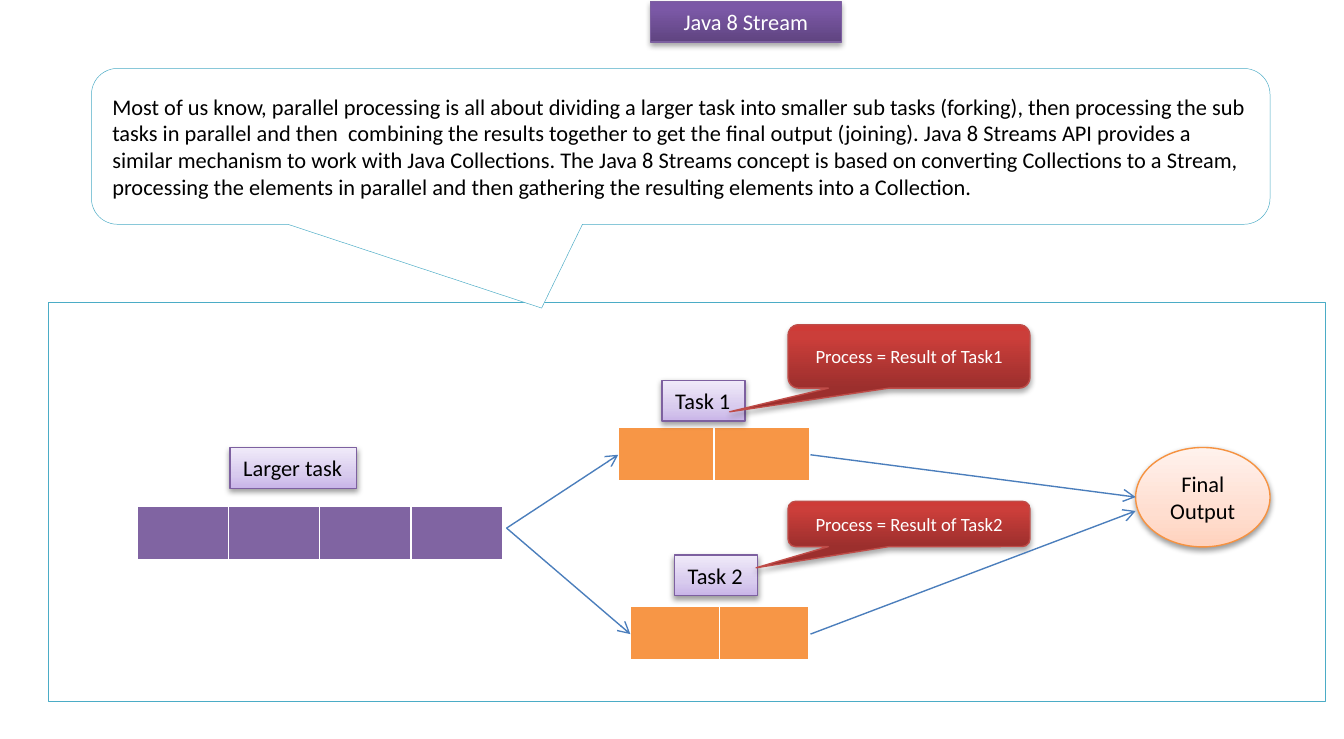
from pptx import Presentation
from pptx.dml.color import RGBColor
from pptx.enum.shapes import MSO_CONNECTOR, MSO_SHAPE
from pptx.enum.text import MSO_ANCHOR, MSO_AUTO_SIZE, PP_ALIGN
from pptx.oxml import parse_xml
from pptx.oxml.ns import nsdecls, qn
from pptx.util import Pt

RECT, ELLIPSE = MSO_SHAPE.RECTANGLE, MSO_SHAPE.OVAL
CALLOUT = MSO_SHAPE.ROUNDED_RECTANGULAR_CALLOUT
STRAIGHT = MSO_CONNECTOR.STRAIGHT
TOP, MIDDLE = MSO_ANCHOR.TOP, MSO_ANCHOR.MIDDLE
LEFT, CENTER = PP_ALIGN.LEFT, PP_ALIGN.CENTER
GROW, FIXED = MSO_AUTO_SIZE.SHAPE_TO_FIT_TEXT, MSO_AUTO_SIZE.NONE

COLORS = {
    "white": "FFFFFF", "black": "000000", "teal": "4BACC6", "arrow": "4B7EBC",
    "purple": "8064A2", "orange": "F79646",
    "purple_line": "7D60A0", "red_line": "BF4C48", "orange_line": "F69240",
}
# Gradient stops run from the bottom edge to the top edge
GRADIENTS = {
    "purple": [(0, "5F4480"), (80, "7B58A6"), (100, "7C57A8")],
    "lilac": [(0, "C9B5E8"), (35, "D8CBEE"), (100, "F0EAF9")],
    "red": [(0, "9C2F2D"), (80, "CB3E3A"), (100, "CE3B37")],
    "peach": [(0, "FFD2BD"), (35, "FFDED0"), (100, "FFF2ED")],
}
STRONG, SOFT = (35, 1.8), (38, 1.6)  # shadow opacity in percent, distance
BAR_HEIGHT = 29.5
INTRO = (
    "Most of us know, parallel processing is all about dividing a larger task "
    "into smaller sub tasks (forking), then processing the sub tasks in parallel "
    "and then  combining the results together to get the final output (joining). "
    "Java 8 Streams API provides a similar mechanism to work with Java "
    "Collections. The Java 8 Streams concept is based on converting Collections "
    "to a Stream, processing the elements in parallel and then gathering the "
    "resulting elements into a Collection."
)


def rgb(name):
    return RGBColor.from_string(COLORS[name])


def set_text(sp, text, size=12, color="black", align=CENTER, anchor=MIDDLE,
             wrap=True, fit=FIXED):
    tf = sp.text_frame
    tf.word_wrap, tf.auto_size, tf.vertical_anchor = wrap, fit, anchor
    p = tf.paragraphs[0]
    p.alignment = align
    r = p.add_run()
    r.text = text
    r.font.name, r.font.size = "Calibri", Pt(size)
    r.font.color.rgb = rgb(color)


def set_line(sp, color, width):
    sp.line.color.rgb = rgb(color)
    sp.line.width = Pt(width)


def style_gradient(sp, gradient, line, shadow):
    """Vertical gradient, thin outline and a shadow below."""
    sp.fill.gradient()
    sp.fill.gradient_angle = 90
    spPr = sp._element.spPr
    stops = spPr.find(qn("a:gradFill")).find(qn("a:gsLst"))
    for gs in list(stops):
        stops.remove(gs)
    for pos, color in GRADIENTS[gradient]:
        stops.append(parse_xml(
            f'<a:gs {nsdecls("a")} pos="{pos * 1000}"><a:srgbClr val="{color}"/></a:gs>'))
    set_line(sp, line, 0.75)
    sp.shadow.inherit = False
    alpha, dist = shadow
    spPr.find(qn("a:effectLst")).append(parse_xml(
        f'<a:outerShdw {nsdecls("a")} blurRad="{Pt(3.1)}" dist="{Pt(dist)}" '
        f'dir="5400000" rotWithShape="0"><a:srgbClr val="{COLORS["black"]}">'
        f'<a:alpha val="{alpha * 1000}"/></a:srgbClr></a:outerShdw>'))


def add_shape(s, kind, box, adjustments=()):
    sp = s.shapes.add_shape(kind, *map(Pt, box))
    for i, value in enumerate(adjustments):
        sp.adjustments[i] = value
    return sp


def add_panel(s, kind, box, adjustments=()):
    """White shape with a hairline teal outline."""
    sp = add_shape(s, kind, box, adjustments)
    sp.fill.solid()
    sp.fill.fore_color.rgb = rgb("white")
    set_line(sp, "teal", 0.25)
    sp.shadow.inherit = False
    return sp


def add_label(s, text, x, y, width):
    sp = add_shape(s, RECT, (x, y, width, 21.8))
    style_gradient(sp, "lilac", "purple_line", SOFT)
    set_text(sp, text, align=LEFT, anchor=TOP, wrap=False, fit=GROW)


def add_process_callout(s, text, y, height, tip):
    sp = add_shape(s, CALLOUT, (422.2, y, 129.6, height), tip)
    style_gradient(sp, "red", "red_line", STRONG)
    set_text(sp, text, size=10, color="white")


def add_bar(s, x, y, width, count, color):
    """One-row table whose cells are the pieces of a task."""
    frame = s.shapes.add_table(1, count, Pt(x), Pt(y), Pt(width), Pt(BAR_HEIGHT))
    for cell in frame.table.iter_cells():
        tcPr = cell._tc.get_or_add_tcPr()
        for side, weight in (("L", 1), ("R", 1), ("T", 1), ("B", 3)):
            tcPr.append(parse_xml(
                f'<a:ln{side} {nsdecls("a")} w="{Pt(weight)}"><a:solidFill>'
                f'<a:srgbClr val="{COLORS["white"]}"/></a:solidFill></a:ln{side}>'))
        cell.fill.solid()
        cell.fill.fore_color.rgb = rgb(color)


def add_arrow(s, start, end):
    cn = s.shapes.add_connector(STRAIGHT, *map(Pt, start + end))
    set_line(cn, "arrow", 0.75)
    spPr = cn._element.spPr
    spPr.find(qn("a:ln")).append(
        parse_xml(f'<a:tailEnd {nsdecls("a")} type="arrow"/>'))
    spPr.append(parse_xml(f'<a:effectLst {nsdecls("a")}/>'))


def main():
    prs = Presentation()
    prs.slide_width, prs.slide_height = Pt(720), Pt(396)
    s = prs.slides.add_slide(prs.slide_layouts[5])

    # Title
    title = s.shapes.title
    title.left, title.top, title.width, title.height = map(Pt, (348.5, 0.7, 102.2, 21.8))
    style_gradient(title, "purple", "purple_line", STRONG)
    set_text(title, "Java 8 Stream", color="white", anchor=TOP)

    # Diagram frame
    add_panel(s, RECT, (25.9, 162, 684, 213.8))

    # Task bars and their labels
    add_bar(s, 73.4, 271.4, 195.8, 4, "purple")
    add_bar(s, 331.4, 229, 102.2, 2, "orange")
    add_bar(s, 337.7, 325.1, 95.7, 2, "orange")
    add_label(s, "Larger task", 123.2, 239.9, 67.9)
    add_label(s, "Task 1", 354.6, 203.8, 44.6)
    add_label(s, "Task 2", 361.3, 297.4, 44.6)

    # Forking arrows
    fork = (271.4, 283)
    add_arrow(s, fork, (331.2, 243.7))
    add_arrow(s, fork, (337.7, 339.8))

    # Partial results
    add_process_callout(s, "Process = Result of Task1", 174, 34, (-0.742, 0.874, 0.167))
    add_process_callout(s, "Process = Result of Task2", 268.6, 24.3, (-0.632, 0.967, 0.167))

    # Final output and joining arrows
    output = add_shape(s, ELLIPSE, (608.4, 239.8, 72, 53.3))
    style_gradient(output, "peach", "orange_line", SOFT)
    set_text(output, "Final Output")
    add_arrow(s, (434.2, 243.7), (608.4, 266.4))
    add_arrow(s, (434.2, 339.8), (608.4, 273.8))

    # Explanation
    intro = add_panel(s, CALLOUT, (49, 36.7, 631.4, 83.5), (-0.118, 1.038, 0.167))
    set_text(intro, INTRO, align=LEFT)

    prs.save("out.pptx")


if __name__ == "__main__":
    main()
